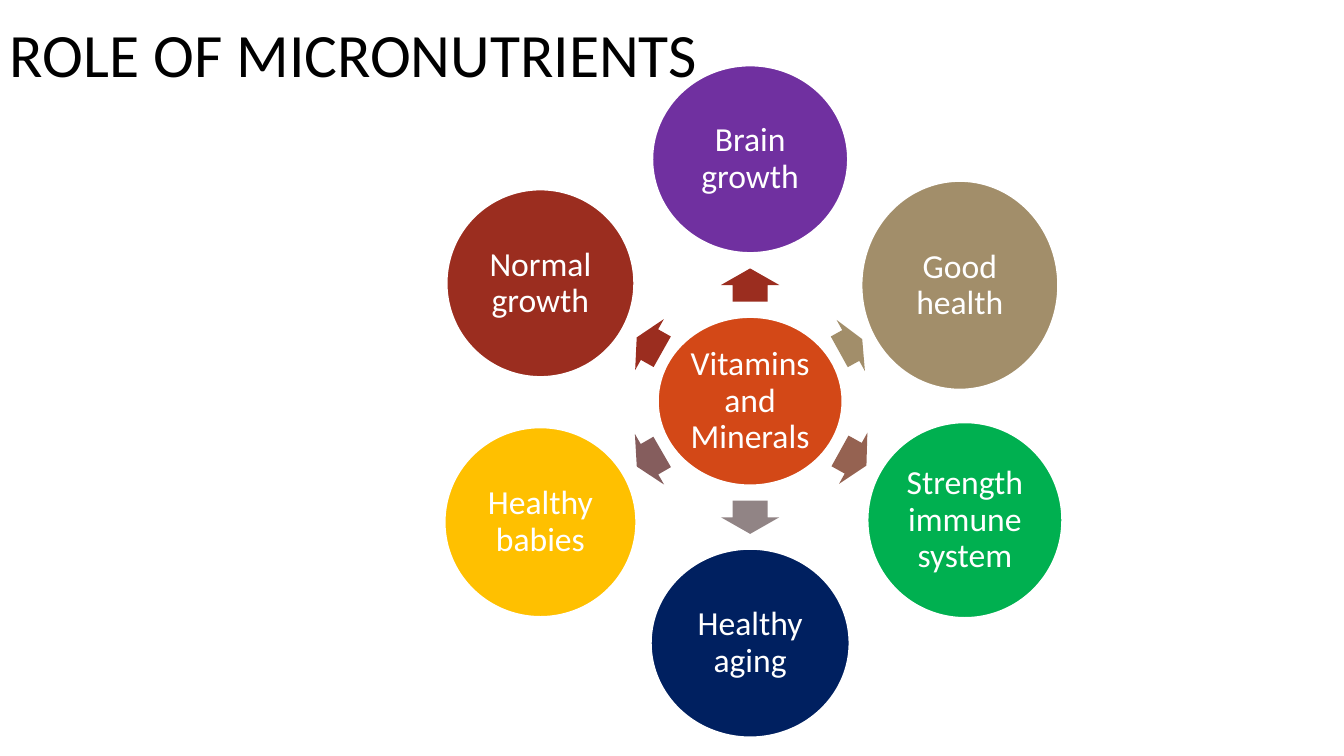
import math

from pptx import Presentation
from pptx import util as u
from pptx.dml import color
from pptx.enum import shapes, text

BENEFITS = [
    ("Brain growth", 0, -2.4, 1.95, 1.87, "7030A0", 0.33, "9B2D1F"),
    ("Good health", 2.08, -1.15, 1.96, 2.08, "A28E6A", 0.26, "A28E6A"),
    ("Strength immune system", 2.13, 1.18, 1.94, 1.95, "00B050", 0.3, "956251"),
    ("Healthy aging", 0, 2.4, 1.98, 1.88, "002060", 0.33, "918485"),
    ("Healthy babies", -2.08, 1.2, 1.91, 1.89, "FFC000", 0.29, "855D5D"),
    ("Normal growth", -2.08, -1.17, 1.87, 1.87, "9B2D1F", 0.29, "9B2D1F"),
]
ARROW_POSITION = 0.48
ARROW_HEIGHT = 0.58


def rgb(value):
    """Turn a hex string into a colour."""
    return color.RGBColor.from_string(value)


def write(frame, words, size, ink, align=text.PP_ALIGN.LEFT, spacing=1.0,
          anchor=text.MSO_ANCHOR.TOP, inset=None):
    """Put formatted words into a text frame."""
    frame.word_wrap = True
    frame.vertical_anchor = anchor
    if inset is not None:
        frame.margin_left = frame.margin_right = u.Inches(inset)
        frame.margin_top = frame.margin_bottom = u.Inches(inset)
    paragraph = frame.paragraphs[0]
    paragraph.alignment = align
    paragraph.line_spacing = spacing
    run = paragraph.add_run()
    run.text = words
    run.font.name = "Calibri"
    run.font.size = u.Pt(size)
    run.font.color.rgb = rgb(ink)


def add_centred(slide, kind, x, y, width, height, fill):
    """Draw a filled shape around a centre point."""
    shape = slide.shapes.add_shape(
        kind, u.Inches(x - width / 2), u.Inches(y - height / 2),
        u.Inches(width), u.Inches(height))
    shape.shadow.inherit = False
    shape.fill.solid()
    shape.fill.fore_color.rgb = rgb(fill)
    shape.line.fill.background()
    return shape


def add_circle(slide, words, x, y, width, height, fill):
    """Draw a labelled circle with a white rim."""
    circle = add_centred(slide, shapes.MSO_SHAPE.OVAL, x, y, width, height, fill)
    circle.line.color.rgb = rgb("FFFFFF")
    circle.line.width = u.Pt(2)
    write(circle.text_frame, words, size=24, ink="FFFFFF", spacing=0.9,
          align=text.PP_ALIGN.CENTER, anchor=text.MSO_ANCHOR.MIDDLE, inset=0.03)


def add_arrow(slide, x, y, length, angle, fill):
    """Draw a block arrow that points away from the hub."""
    arrow = add_centred(slide, shapes.MSO_SHAPE.RIGHT_ARROW, x, y,
                        length, ARROW_HEIGHT, fill)
    arrow.adjustments[0] = 0.6
    arrow.adjustments[1] = 0.5
    arrow.rotation = angle


def add_title(slide, left, top, width, height):
    """Write the slide title."""
    title = slide.shapes.add_textbox(*map(u.Inches, (left, top, width, height)))
    write(title.text_frame, "ROLE OF MICRONUTRIENTS", size=44, ink="000000")


def add_benefit_wheel(slide, left, top, width, height):
    """Draw the hub with its benefits around the middle of the box."""
    hub_x, hub_y = left + width / 2, top + height / 2
    add_circle(slide, "Vitamins and Minerals", hub_x, hub_y, 1.84, 1.68, "D34817")
    for benefit, dx, dy, wide, high, fill, arrow_length, arrow_fill in BENEFITS:
        angle = math.degrees(math.atan2(dy, dx)) % 360
        add_arrow(slide, hub_x + dx * ARROW_POSITION, hub_y + dy * ARROW_POSITION,
                  arrow_length, angle, arrow_fill)
        add_circle(slide, benefit, hub_x + dx, hub_y + dy, wide, high, fill)


def main():
    """Build and save the slide."""
    deck = Presentation()
    deck.slide_width, deck.slide_height = u.Inches(13.33), u.Inches(7.5)
    slide = deck.slides.add_slide(deck.slide_layouts[6])
    add_benefit_wheel(slide, 4.4, 0.64, 6.08, 6.68)
    add_title(slide, 0, 0.11, 10, 0.84)
    deck.save("out.pptx")


if __name__ == "__main__":
    main()
